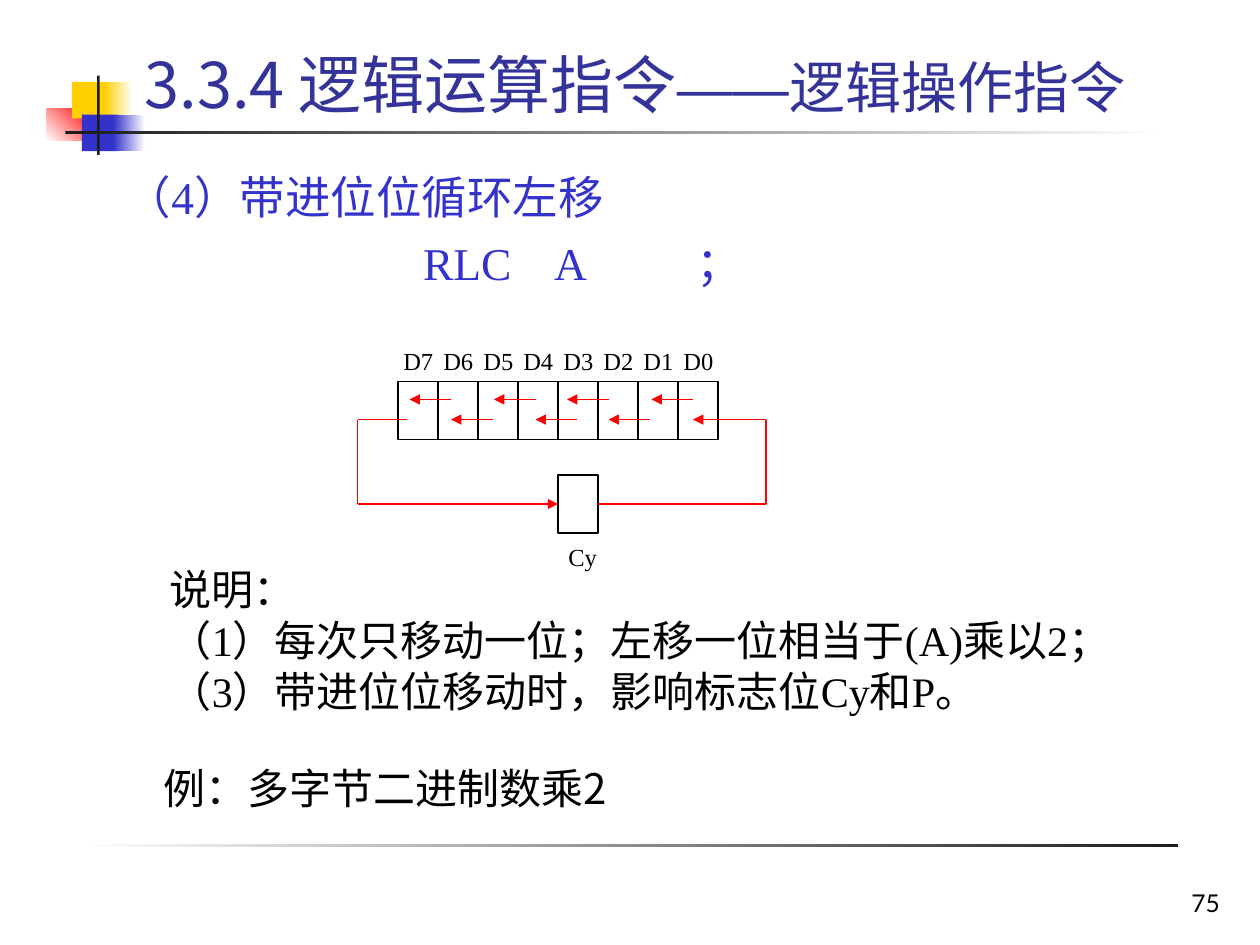
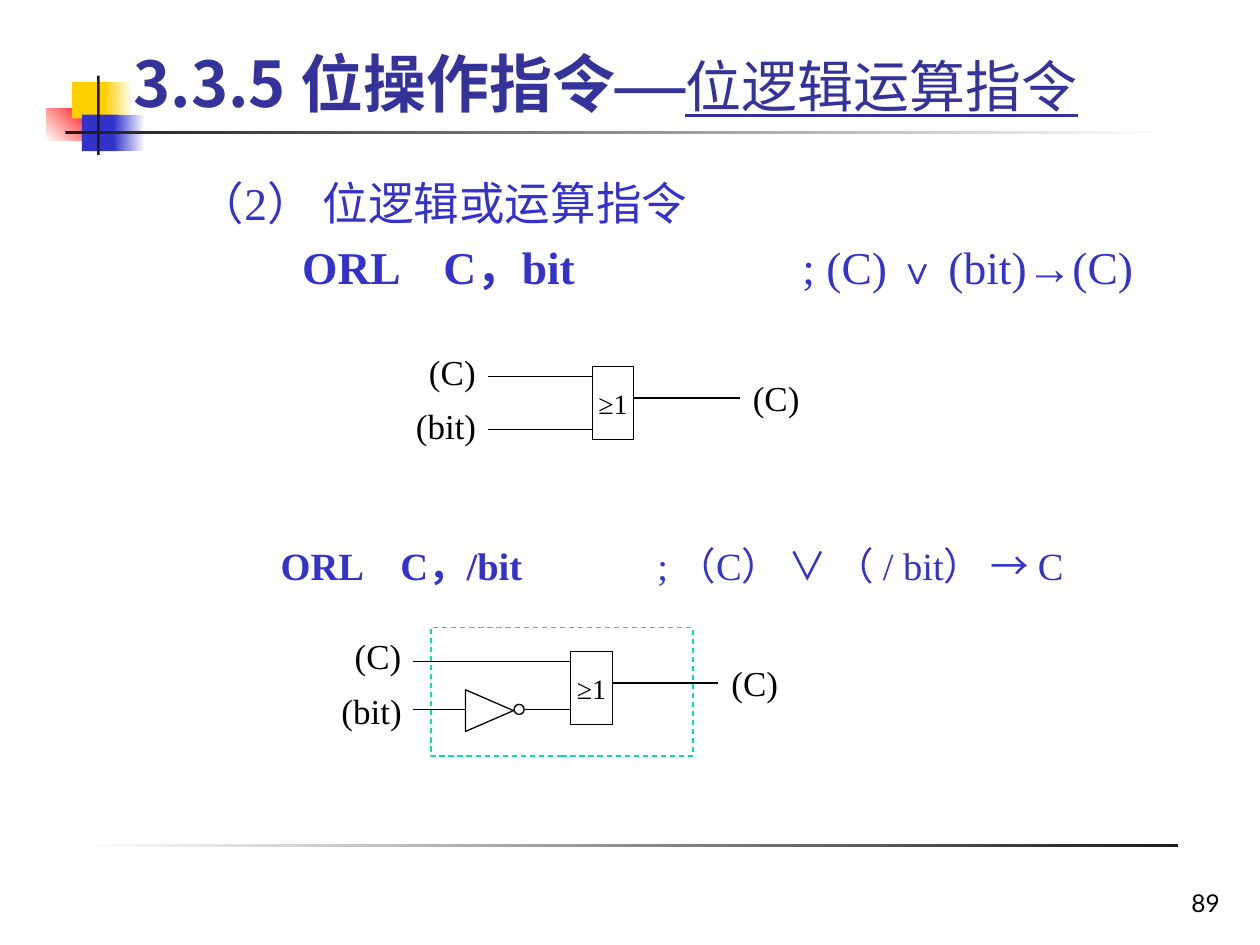
"""Two lecture slides on rotate and bit-logic instructions, with register and gate diagrams."""
import pptx
import pptx.util
import pptx.dml.color
import pptx.enum.shapes
import pptx.enum.text
from lxml import etree
from pptx.oxml.ns import qn

COLOURS = {
    "black": "000000", "ink": "1C1C1C", "white": "FFFFFF", "red": "FF0000",
    "yellow": "FFCF01", "blue": "3333CC", "title": "333399", "mint": "00E4A8",
}
SERIF, CJK, TITLE_FONT = "Times New Roman", "Noto Sans CJK SC", "Noto Sans CJK JP"
SHAPE = pptx.enum.shapes.MSO_SHAPE
ALIGN = pptx.enum.text.PP_ALIGN
ANCHOR = pptx.enum.text.MSO_ANCHOR
RGB = {k: pptx.dml.color.RGBColor.from_string(v) for k, v in COLOURS.items()}

prs = pptx.Presentation()
prs.slide_width, prs.slide_height = pptx.util.Inches(10), pptx.util.Inches(7.5)
COL = prs.slide_width / 10
ROW = prs.slide_height / 7.5


def draw(s, kind, box, line=None, fill=None, angle=0):
    """Add a preset shape, a text box or a line; box is in columns and rows."""
    box = [round(v * unit) for v, unit in zip(box, (COL, ROW, COL, ROW))]
    if kind == "text":
        return s.shapes.add_textbox(*box)
    if kind == "line":
        sp = s.shapes.add_connector(pptx.enum.shapes.MSO_CONNECTOR.STRAIGHT, *box)
        etree.SubElement(sp.element.spPr, qn("a:effectLst"))
    else:
        sp = s.shapes.add_shape(kind, *box)
        sp.shadow.inherit = False
        if isinstance(fill, tuple):
            sp.fill.gradient()
            sp.fill.gradient_angle = angle
            for stop, name in zip(sp.fill.gradient_stops, fill):
                stop.color.rgb = RGB[name]
        elif fill:
            sp.fill.solid()
            sp.fill.fore_color.rgb = RGB[fill]
        else:
            sp.fill.background()
    if line:
        sp.line.color.rgb = RGB[line]
        sp.line.width = pptx.util.Pt(0.75)
    else:
        sp.line.fill.background()
    return sp


def write(sp, paras, size, name=SERIF, colour="black", align=ALIGN.LEFT,
          anchor=ANCHOR.TOP, wrap=True, tabs=(), space=0, spacing=None):
    """Fill a shape with paragraphs, each a list of (text, format) runs."""
    tf = sp.text_frame
    frame = {"word_wrap": wrap, "auto_size": pptx.enum.text.MSO_AUTO_SIZE.NONE,
             "vertical_anchor": anchor}
    for key, value in frame.items():
        setattr(tf, key, value)
    for i, runs in enumerate(paras):
        p = tf.add_paragraph() if i else tf.paragraphs[0]
        if tabs:
            stops = etree.SubElement(p._p.get_or_add_pPr(), qn("a:tabLst"))
            for pos in tabs[i]:
                etree.SubElement(stops, qn("a:tab"), pos=str(round(pos * COL)), algn="l")
        layout_format = {"alignment": align, "line_spacing": spacing,
                         "space_before": pptx.util.Pt(space if i else 0)}
        for key, value in layout_format.items():
            setattr(p, key, value)
        for text, extra in runs:
            r = p.add_run()
            r.text = text
            fmt = {"size": size, "name": name, "bold": False, **extra}
            east = fmt.pop("east", CJK if fmt["name"] == SERIF else fmt["name"])
            fmt["size"] = pptx.util.Pt(fmt["size"])
            for key, value in fmt.items():
                setattr(r.font, key, value)
            r.font.color.rgb = RGB[colour]
            etree.SubElement(r.font._element, qn("a:ea"), typeface=east)
    return sp


layout = prs.slide_layouts[5]
pages = [
    ("75", (1.05, 0.35, 8.92, 0.62), [
        ("3.3.4 逻辑运算指令", {"size": 36}),
        ("——", {"name": "Arial"}),
        ("逻辑操作指令", {})]),
    ("89", (0.96, 0.21, 8.32, 0.84), [
        ("3.3.5 位操作指令", {"size": 36, "bold": True}),
        ("—", {"size": 40, "name": SERIF, "east": SERIF, "bold": True}),
        ("位逻辑运算指令", {"underline": True})]),
]
slides = []
for number, box, runs in pages:
    s = prs.slides.add_slide(layout)
    slides.append(s)
    title = s.shapes.title
    for key, value, unit in zip(("left", "top", "width", "height"), box, (COL, ROW) * 2):
        setattr(title, key, round(value * unit))
    write(title, [runs], 32, TITLE_FONT, "title", anchor=ANCHOR.MIDDLE)
    write(draw(s, "text", (7.7, 6.83, 2.08, 0.5)), [[(number, {})]], 14, "Lato",
          align=ALIGN.RIGHT, anchor=ANCHOR.BOTTOM)

decor = [
    ((0.37, 0.86, 0.38, 0.26), ("white", "red"), 45),
    ((0.57, 0.65, 0.29, 0.29), "yellow", 0),
    ((0.83, 0.65, 0.22, 0.29), ("yellow", "white"), 0),
    ((0.65, 0.91, 0.29, 0.29), "blue", 0),
    ((0.9, 0.91, 0.25, 0.29), ("blue", "white"), 0),
    ((0.52, 1.04, 8.73, 0.02), ("ink", "white"), 0),
    ((0.77, 0.6, 0.02, 0.63), "ink", 0),
    ((0.62, 6.7, 8.73, 0.02), ("white", "ink"), 0),
]
for i, (box, fill, angle) in enumerate(decor):
    sp = draw(slides[0], SHAPE.RECTANGLE, box, fill=fill, angle=angle)
    sp.element.xpath(".//p:cNvPr")[0].set("id", str(20 + i))
    layout.shapes.element.append(sp.element)

s = slides[0]
write(draw(s, "text", (0.9, 1.29, 8.42, 1.27)), [
    [("（4）带进位位循环左移", {})],
    [("\tRLC\tA\t；", {})],
], 26, colour="blue", tabs=[(), (2.36, 3.4, 4.53)], space=6.5)
write(draw(s, "text", (1.2, 6, 8.5, 0.58)), [[("例：多字节二进制数乘2", {})]], 24, CJK)
write(draw(s, "text", (1.25, 4.5, 8.5, 1.33)), [
    [("说明：", {})],
    [("（1）每次只移动一位；左移一位相当于(A)乘以2；", {})],
    [("（3）带进位位移动时，影响标志位Cy和P。", {})],
], 24, space=6, spacing=0.8)

reg_left, bit_w, bit_h = 3.16, 2.54 / 8, 0.46
for i in range(8):
    x = reg_left + i * bit_w
    draw(s, SHAPE.RECTANGLE, (x, 3.03, bit_w, bit_h), "black")
    write(draw(s, "text", (x - 0.06, 2.7, 0.44, 0.34)), [[(f"D{7 - i}", {})]], 14,
          align=ALIGN.CENTER, wrap=False)
carry = draw(s, SHAPE.RECTANGLE, (reg_left + 4 * bit_w, 3.77, bit_w, bit_h), "black")
write(draw(s, "text", (4.41, 4.25, 0.43, 0.34)), [[("Cy", {})]], 14,
      align=ALIGN.CENTER, wrap=False)

high, low, carry_y, loop_left, loop_right = 3.17, 3.33, 4, 2.84, 6.08
arrows = []
for i, tip in enumerate((3.25, 3.58, 3.92, 4.25, 4.5, 4.83, 5.17)):
    y = low if i % 2 else high
    arrows.append(draw(s, "line", (tip + 0.33, y, tip, y), "red"))
arrows.append(draw(s, "line", (loop_right, low, 5.5, low), "red"))
into_carry = draw(s, "line", (loop_left, carry_y, 4.43, carry_y), "red")
into_carry.end_connect(carry, 1)
arrows.append(into_carry)
for arrow in arrows:
    etree.SubElement(arrow.line._get_or_add_ln(), qn("a:tailEnd"), type="triangle")
for x in (loop_left, loop_right):
    draw(s, "line", (x, low, x, carry_y), "red")
draw(s, "line", (3.23, low, loop_left, low), "red")
draw(s, "line", (4.75, carry_y, loop_right, carry_y), "red").begin_connect(carry, 3)

s = slides[1]
bold = {"bold": True}
write(draw(s, "text", (0.91, 1.34, 8.42, 1.12)), [
    [("\t（2） 位逻辑或运算指令", {})],
    [("\tORL\tC，bit\t", bold), ("; (C) ", {}), ("∨", {"size": 22}), (" (bit)", {}),
     ("→", {"name": "Arial"}), ("(C)", {})],
], 26, colour="blue", tabs=[(0.57,), (1.39, 2.51, 5.36)], space=5.5)
write(draw(s, "text", (0.75, 4.25, 8.5, 0.5)), [
    [("\tORL\tC，/bit\t", bold), ("; （C） ∨ （ / bit） → C", {})],
], 22, colour="blue", tabs=[(1.38, 2.33, 4.37)])

gates = [
    (4.7, 2.91, 3.87, 0.5, [(3.87, 4.7)]),
    (4.53, 5.17, 3.28, 0.46, [(3.28, 3.7), (4.16, 4.53)]),
]
gate_w, gate_h = 0.33, 0.58
for x, y, wire_x, low_dy, low_wires in gates:
    gate = draw(s, SHAPE.RECTANGLE, (x, y, gate_w, gate_h), "black")
    write(gate, [[("≥1", {})]], 16, align=ALIGN.CENTER, anchor=ANCHOR.MIDDLE, wrap=False)
    out_x = x + gate_w + 0.84
    wires = [(wire_x, x, 0.08), (x + gate_w, out_x, 0.25)]
    wires += [(start, end, low_dy) for start, end in low_wires]
    for start, end, dy in wires:
        draw(s, "line", (start, y + dy, end, y + dy), "black")
    labels = [("(C)", wire_x - 0.62, -0.18), ("(bit)", wire_x - 0.67, 0.25),
              ("(C)", out_x - 0.05, 0.03)]
    for text, left, dy in labels:
        write(draw(s, "text", (left, y + dy, 0.68, 0.44)), [[(text, {})]], 20,
              align=ALIGN.CENTER, wrap=False)

inverter = draw(s, SHAPE.FLOWCHART_EXTRACT, (3.72, 5.45, 0.33, 0.38), "black")
inverter.rotation = 90
draw(s, SHAPE.FLOWCHART_CONNECTOR, (4.08, 5.59, 0.08, 0.08), "black")
frame = draw(s, SHAPE.RECTANGLE, (3.42, 4.98, 2.08, 1.02), "mint")
frame.line.dash_style = pptx.enum.dml.MSO_LINE.DASH

prs.save("out.pptx")
